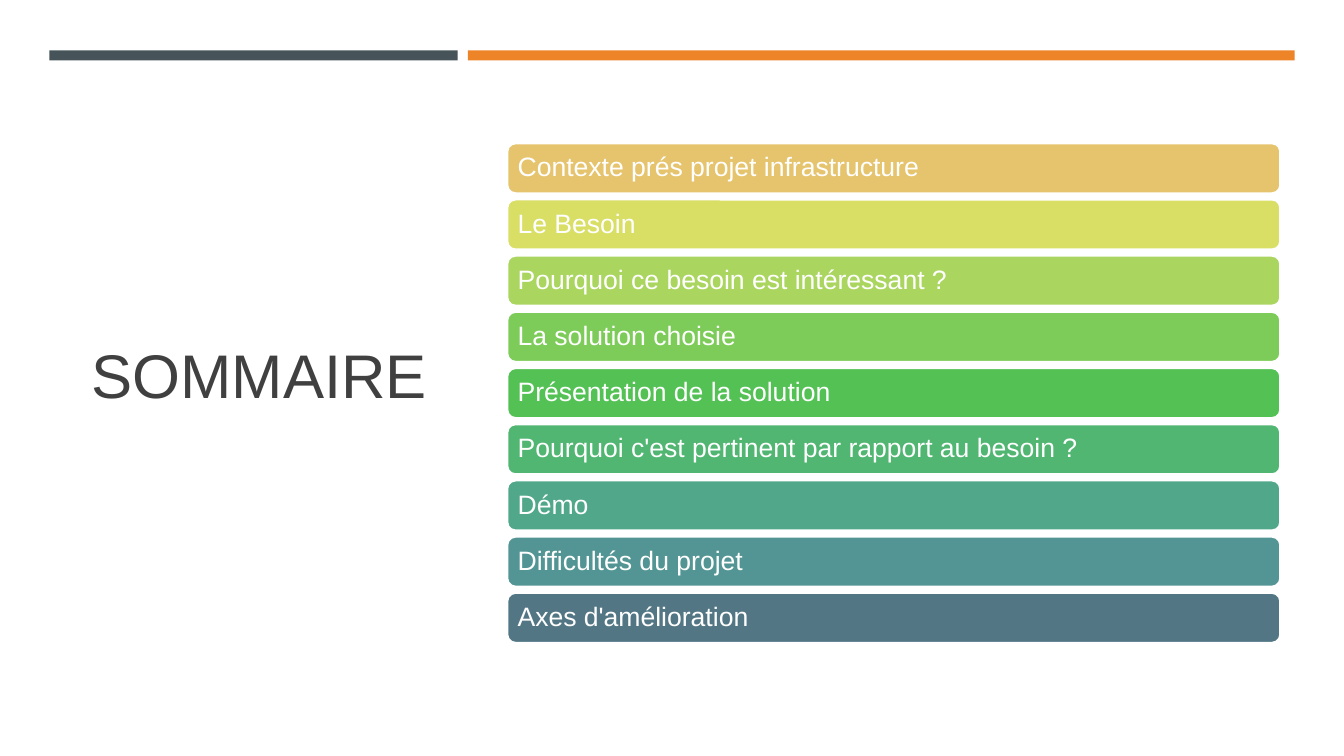
from pptx import Presentation
from pptx.dml.color import RGBColor
from pptx.enum.shapes import MSO_SHAPE as Shape
from pptx.enum.text import MSO_ANCHOR as Anchor, PP_ALIGN as Align
from pptx.util import Inches, Pt

FONT = "Arial"
WHITE = "FFFFFF"
TITLE = "SOMMAIRE"
BANDS = [(0.49, 4.05, "465359"), (4.64, 8.2, "ED8428")]
TOPICS = [
    ("Contexte prés projet infrastructure", "E6C46D"),
    ("Le Besoin", "D9DE65"),
    ("Pourquoi ce besoin est intéressant ?", "AAD55F"),
    ("La solution choisie", "7DCC59"),
    ("Présentation de la solution", "54C155"),
    ("Pourquoi c'est pertinent par rapport au besoin ?", "50B672"),
    ("Démo", "50A789"),
    ("Difficultés du projet", "529594"),
    ("Axes d'amélioration", "537685"),
]
LEFT, WIDTH, HEIGHT = 5.03, 7.67, 0.5
FIRST, LAST = 1.42, 5.88


def color(code):
    return RGBColor.from_string(code)


def place(shape, *box):
    shape.left, shape.top, shape.width, shape.height = map(Inches, box)


def write(shape, text, size, code, inset):
    frame = shape.text_frame
    frame.word_wrap = True
    frame.vertical_anchor = Anchor.MIDDLE
    frame.margin_left = frame.margin_right = Inches(inset)
    frame.margin_top = frame.margin_bottom = Inches(0.05)
    para = frame.paragraphs[0]
    para.alignment = Align.LEFT
    para.line_spacing = 0.9
    run = para.add_run()
    run.text = text
    run.font.name = FONT
    run.font.size = Pt(size)
    run.font.color.rgb = color(code)


def block(slide, kind, box, fill):
    shape = slide.shapes.add_shape(kind, *map(Inches, box))
    shape.shadow.inherit = False
    shape.fill.solid()
    shape.fill.fore_color.rgb = color(fill)
    shape.line.fill.background()
    return shape


def main():
    deck = Presentation()
    deck.slide_width, deck.slide_height = Inches(13.33), Inches(7.5)
    slide = deck.slides.add_slide(deck.slide_layouts[5])

    title = slide.shapes.title
    place(title, 0.81, 1.18, 3.58, 5.15)
    write(title, TITLE, 44, "404040", 0.1)

    for left, width, fill in BANDS:
        block(slide, Shape.RECTANGLE, (left, 0.5, width, 0.1), fill)

    step = (LAST - FIRST) / (len(TOPICS) - 1)
    for i, (text, fill) in enumerate(TOPICS):
        box = (LEFT, FIRST + i * step, WIDTH, HEIGHT)
        bar = block(slide, Shape.ROUNDED_RECTANGLE, box, fill)
        bar.line.color.rgb = color(WHITE)
        bar.line.width = Pt(1.75)
        write(bar, text, 19, WHITE, 0.08)

    deck.save("out.pptx")


if __name__ == "__main__":
    main()
